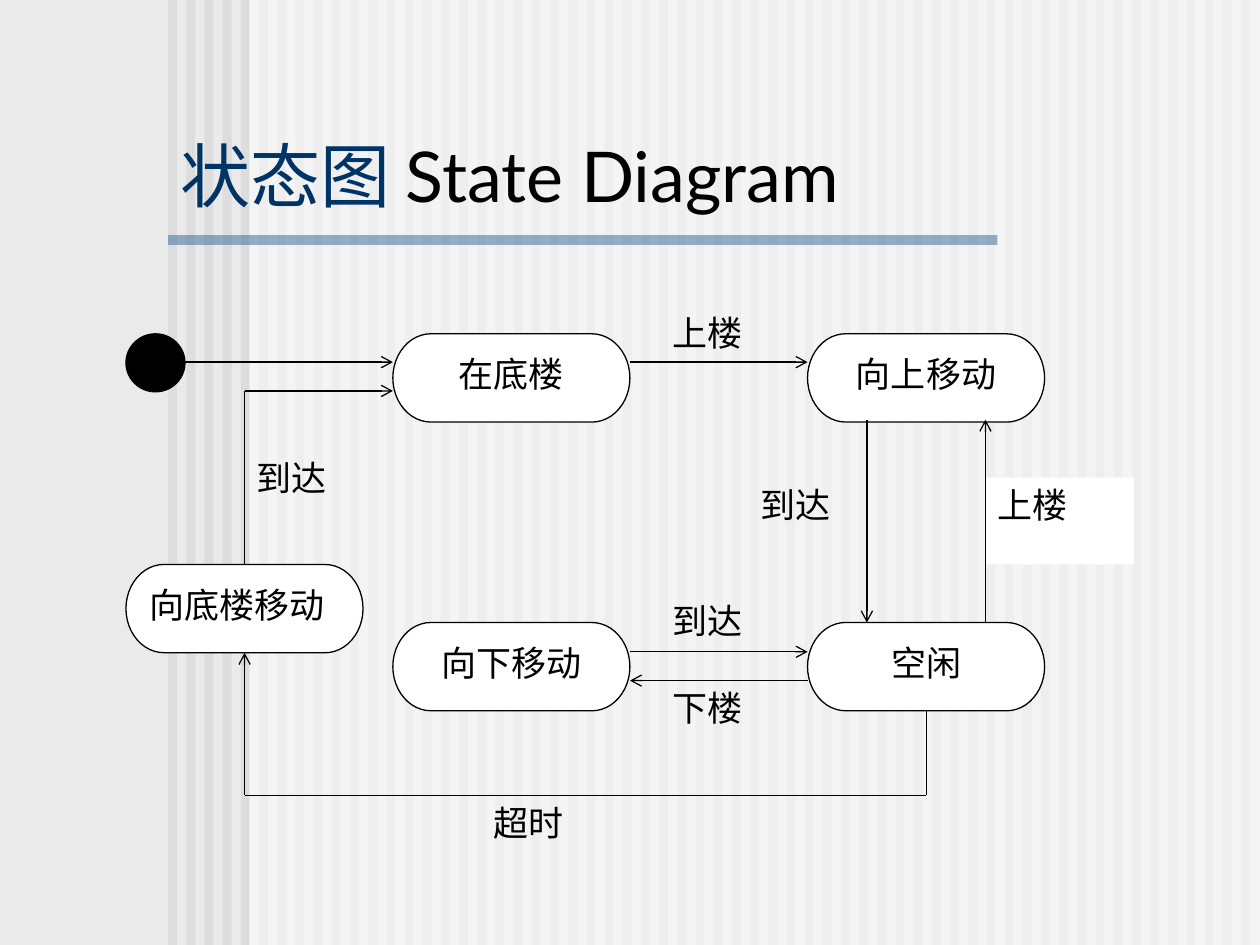
import pptx
import pptx.util
import pptx.dml.color
import pptx.enum.shapes
import pptx.enum.text
import pptx.oxml.ns
from lxml import etree

Cm, Pt = pptx.util.Cm, pptx.util.Pt
RGBColor = pptx.dml.color.RGBColor
SHAPE = pptx.enum.shapes.MSO_SHAPE
ALIGN = pptx.enum.text.PP_ALIGN
ANCHOR = pptx.enum.text.MSO_ANCHOR
qn = pptx.oxml.ns.qn

BACKGROUND = RGBColor(0xEA, 0xEA, 0xEA)
STRIPE = RGBColor(0xDD, 0xDD, 0xDD)
RULE = RGBColor(0x33, 0x66, 0x99)
NAVY = RGBColor(0x00, 0x33, 0x66)
BLACK = RGBColor(0, 0, 0)
WHITE = RGBColor(0xFF, 0xFF, 0xFF)

SLIDE_W, SLIDE_H = 25.4, 19.05
MARGIN = 3.39
STRIPES, STRIPE_W, LAST_STRIPE = 60, 0.18, 25.02

STATE_W, STATE_H = 4.78, 1.78
LABEL_W, LABEL_H = 3, 1.75
LEFT, MIDDLE, RIGHT = 2.54, 7.92, 16.28
UPPER, RETURN, LOWER = 6.73, 11.38, 12.55
LEFT_MID, RIGHT_MID = LEFT + STATE_W / 2, RIGHT + STATE_W / 2
MIDDLE_END = MIDDLE + STATE_W
DOWN_X, UP_X = RIGHT + STATE_W / 4, RIGHT + STATE_W * 3 / 4
START_Y, ARRIVE_Y, UPPER_END = 7.3, 7.88, 8.46
TO_IDLE_Y, FROM_IDLE_Y, TIMEOUT_Y = 13.14, 13.72, 16.03

TITLE = [("状态图", "Arial", NAVY), (" State Diagram", "Lato", BLACK)]

LABELS = [
    ("超时", 9.7, TIMEOUT_Y, None),
    ("到达", 13.3, 11.96, None),
    ("下楼", 13.3, FROM_IDLE_Y, None),
    ("上楼", UP_X, 9.63, WHITE),
    ("到达", 15.08, 9.63, None),
    ("上楼", 13.3, 6.15, None),
    ("到达", LEFT_MID, 9.07, None),
]

STATES = [
    ("在底楼", MIDDLE, UPPER, ALIGN.CENTER),
    ("向上移动", RIGHT, UPPER, ALIGN.CENTER),
    ("向底楼移动", LEFT, RETURN, ALIGN.JUSTIFY),
    ("向下移动", MIDDLE, LOWER, ALIGN.CENTER),
    ("空闲", RIGHT, LOWER, ALIGN.CENTER),
]

# begin, end, arrowhead, joined begin state and side, joined end state and side
TRANSITIONS = [
    ((3.73, START_Y), (MIDDLE, START_Y), True, None, None),
    ((MIDDLE_END, START_Y), (RIGHT, START_Y), True, None, None),
    ((DOWN_X, UPPER_END), (DOWN_X, LOWER), True, None, None),
    ((MIDDLE_END, TO_IDLE_Y), (RIGHT, TO_IDLE_Y), True, None, None),
    ((RIGHT, FROM_IDLE_Y), (MIDDLE_END, FROM_IDLE_Y), True, None, None),
    ((RIGHT_MID, LOWER + STATE_H), (RIGHT_MID, TIMEOUT_Y), False, ("空闲", 2), None),
    ((RIGHT_MID, TIMEOUT_Y), (LEFT_MID, TIMEOUT_Y), False, None, None),
    ((LEFT_MID, TIMEOUT_Y), (LEFT_MID, RETURN + STATE_H), True, None, ("向底楼移动", 2)),
    ((UP_X, LOWER), (UP_X, UPPER_END), True, None, None),
    ((LEFT_MID, RETURN), (LEFT_MID, ARRIVE_Y), False, ("向底楼移动", 0), None),
    ((LEFT_MID, ARRIVE_Y), (MIDDLE, ARRIVE_Y), True, None, None),
]


def add_block(slide, kind, x, y, w, h, fill, outline=None, opacity=None):
    block = slide.shapes.add_shape(kind, Cm(x), Cm(y), Cm(w), Cm(h))
    block.shadow.inherit = False
    block.fill.solid()
    block.fill.fore_color.rgb = fill
    if outline is None:
        block.line.fill.background()
    else:
        block.line.color.rgb = outline
        block.line.width = Pt(0.75)
    if opacity is not None:
        color = block.fill._xPr.find(qn("a:solidFill"))[0]
        etree.SubElement(color, qn("a:alpha")).set("val", str(opacity * 1000))
    return block


def write(holder, runs, size, align, anchor=ANCHOR.TOP):
    frame = holder.text_frame
    frame.word_wrap = True
    frame.vertical_anchor = anchor
    paragraph = frame.paragraphs[0]
    paragraph.alignment = align
    for text, font, color in runs:
        run = paragraph.add_run()
        run.text = text
        run.font.name = font
        run.font.size = Pt(size)
        run.font.color.rgb = color


def add_text_box(slide, x, y, w, h):
    return slide.shapes.add_textbox(Cm(x), Cm(y), Cm(w), Cm(h))


def add_backdrop(slide):
    slide.background.fill.solid()
    slide.background.fill.fore_color.rgb = BACKGROUND
    pitch = (LAST_STRIPE - MARGIN) / (STRIPES - 1)
    for i in range(STRIPES):
        add_block(slide, SHAPE.RECTANGLE, MARGIN + i * pitch, 0, STRIPE_W, SLIDE_H, STRIPE)
    add_block(slide, SHAPE.RECTANGLE, 5.03, 0, SLIDE_W - 5.03, SLIDE_H, WHITE, opacity=50)
    add_block(slide, SHAPE.RECTANGLE, MARGIN, 4.74, 16.72, 0.2, RULE, opacity=50)


def add_transition(slide, begin, end, arrow, begin_join, end_join, states):
    line = slide.shapes.add_connector(
        pptx.enum.shapes.MSO_CONNECTOR.STRAIGHT, *[Cm(v) for v in begin + end])
    if begin_join:
        line.begin_connect(states[begin_join[0]], begin_join[1])
    if end_join:
        line.end_connect(states[end_join[0]], end_join[1])
    line.line.color.rgb = BLACK
    line.line.width = Pt(0.75)
    if arrow:
        etree.SubElement(line.line._get_or_add_ln(), qn("a:tailEnd")).set("type", "arrow")
    etree.SubElement(line._element.spPr, qn("a:effectLst"))


def main():
    deck = pptx.Presentation()
    deck.slide_width, deck.slide_height = Cm(SLIDE_W), Cm(SLIDE_H)
    slide = deck.slides.add_slide(deck.slide_layouts[6])
    add_backdrop(slide)
    title = add_text_box(slide, MARGIN, 2.74, 18.62, 1.75)
    write(title, TITLE, 40, ALIGN.LEFT, ANCHOR.BOTTOM)

    for text, x, y, fill in LABELS:
        label = add_text_box(slide, x, y, LABEL_W, LABEL_H)
        if fill is not None:
            label.fill.solid()
            label.fill.fore_color.rgb = fill
        write(label, [(text, "Times New Roman", BLACK)], 20, ALIGN.JUSTIFY)

    add_block(slide, SHAPE.OVAL, LEFT, UPPER, 1.19, 1.17, BLACK, BLACK)
    states = {}
    for text, x, y, align in STATES:
        states[text] = add_block(
            slide, SHAPE.FLOWCHART_TERMINATOR, x, y, STATE_W, STATE_H, WHITE, BLACK)
        write(states[text], [(text, "Times New Roman", BLACK)], 20, align)

    for transition in TRANSITIONS:
        add_transition(slide, *transition, states)
    deck.save("out.pptx")


if __name__ == "__main__":
    main()
